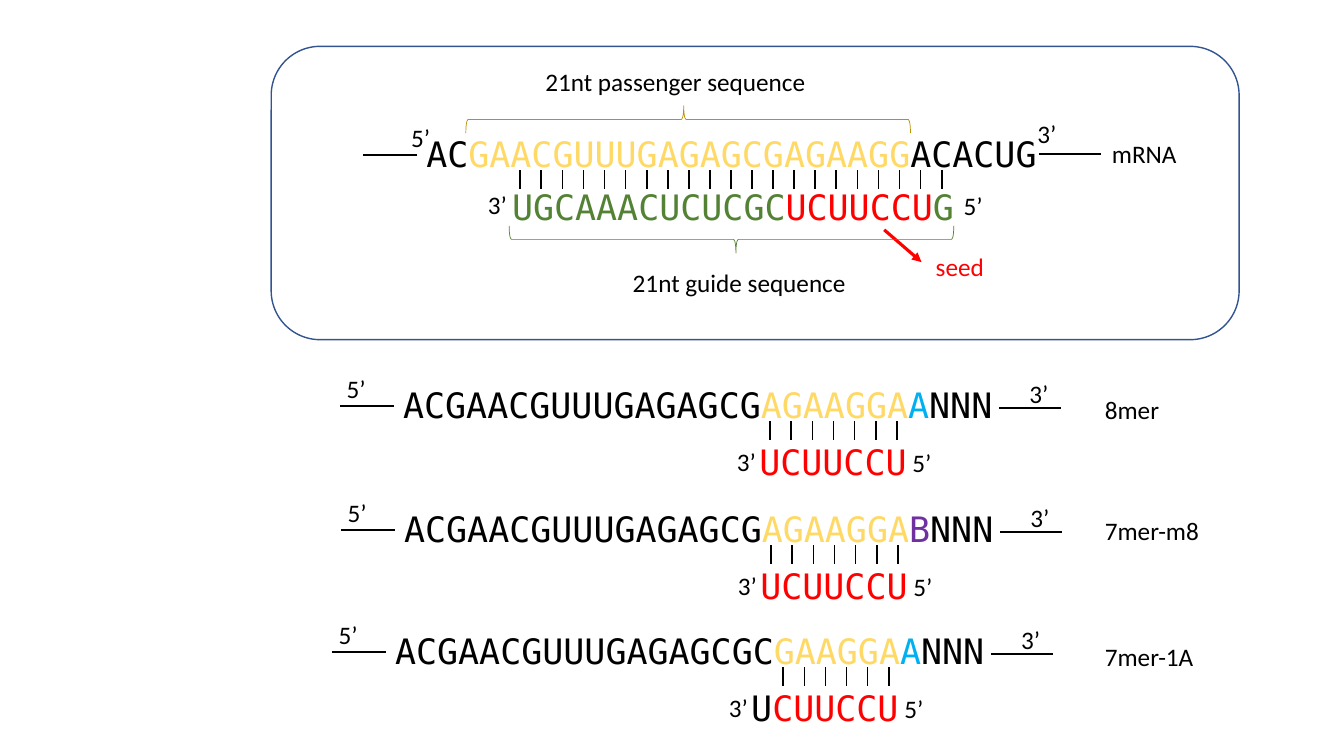
import pptx
import pptx.dml.color
import pptx.enum.shapes
import pptx.enum.text
import pptx.oxml
import pptx.oxml.ns
import pptx.util

Inches = pptx.util.Inches
color = pptx.dml.color.RGBColor.from_string
Shape = pptx.enum.shapes.MSO_SHAPE
Align = pptx.enum.text.PP_ALIGN

BLACK, RED, GREEN = "000000", "FF0000", "548235"
YELLOW, BLUE, PURPLE = "FFD966", "00B0F0", "7030A0"
MONO = ("DejaVu Sans Mono", 25, 0.52)
LABEL = ("Calibri", 18, 0.4)
BASE_STEP = 0.209

deck = pptx.Presentation()
deck.slide_width = Inches(13.33)
deck.slide_height = Inches(7.5)
page = deck.slides.add_slide(deck.slide_layouts[6])


def add_text(left, top, width, parts, style=LABEL, align=Align.LEFT):
    font_name, size, height = style
    box = page.shapes.add_textbox(Inches(left), Inches(top), Inches(width), Inches(height))
    frame = box.text_frame
    frame.word_wrap = True
    frame.auto_size = pptx.enum.text.MSO_AUTO_SIZE.SHAPE_TO_FIT_TEXT
    para = frame.paragraphs[0]
    para.alignment = align
    for wording, hue in parts:
        span = para.add_run()
        span.text = wording
        span.font.name = font_name
        span.font.size = pptx.util.Pt(size)
        span.font.color.rgb = color(hue)


def add_line(x1, y1, x2, y2, weight, hue=BLACK):
    line = page.shapes.add_connector(
        pptx.enum.shapes.MSO_CONNECTOR.STRAIGHT,
        Inches(x1), Inches(y1), Inches(x2), Inches(y2))
    line.line.color.rgb = color(hue)
    line.line.width = pptx.util.Pt(weight)
    line.element.spPr.append(pptx.oxml.parse_xml(
        f"<a:effectLst {pptx.oxml.ns.nsdecls('a')}/>"))
    return line


sites = [
    (0, 0, "8mer", 3.86,
     [("ACGAACGUUUGAGAGCG", BLACK), ("AGAAGGA", YELLOW), ("A", BLUE), ("NNN", BLACK)],
     [("UCUUCCU", RED)], range(7)),
    (0.01, 1.23, "7mer-m8", 5.06,
     [("ACGAACGUUUGAGAGCG", BLACK), ("AGAAGGA", YELLOW), ("B", PURPLE), ("NNN", BLACK)],
     [("UCUUCCU", RED)], range(7)),
    (-0.08, 2.44, "7mer-1A", 6.31,
     [("ACGAACGUUUGAGAGCGC", BLACK), ("GAAGGA", YELLOW), ("A", BLUE), ("NNN", BLACK)],
     [("U", BLACK), ("CUUCCU", RED)], range(1, 7)),
]
for dx, dy, site_name, name_top, target, seed, paired in sites:
    add_text(3.9 + dx, 3.76 + dy, 7.33, target, MONO)
    add_text(4.44 + dx, 4.32 + dy, 4.65, seed, MONO, Align.RIGHT)
    add_line(3.37 + dx, 4.03 + dy, 3.91 + dx, 4.03 + dy, 1.75)
    add_line(9.91 + dx, 4.05 + dy, 10.52 + dx, 4.05 + dy, 1.75)
    for left, top, end in [(3.34, 3.65, "5’"), (7.21, 4.38, "3’"),
                           (10.11, 3.7, "3’"), (8.95, 4.39, "5’")]:
        add_text(left + dx, top + dy, 1.11, [(end, BLACK)])
    for base in paired:
        x = 7.64 + dx + base * BASE_STEP
        add_line(x, 4.18 + dy, x, 4.37 + dy, 1.25)
    add_text(10.86, name_top, 1.2, [(site_name, BLACK)])

add_text(4.13, 1.27, 7.33,
         [("AC", BLACK), ("GAACGUUUGAGAGCGAGAAGG", YELLOW), ("ACACUG", BLACK)], MONO)
add_text(4.98, 1.79, 4.65,
         [("UGCAAACUCUCGC", GREEN), ("UCUUCCU", RED), ("G", GREEN)], MONO)
add_line(3.6, 1.54, 4.14, 1.54, 1.75)
add_line(10.31, 1.53, 10.92, 1.53, 1.75)
for left, top, end in [(3.98, 1.16, "5’"), (4.74, 1.83, "3’"),
                       (10.19, 1.12, "3’"), (9.46, 1.84, "5’")]:
    add_text(left, top, 1.11, [(end, BLACK)])
for base in range(21):
    x = 5.16 + base * BASE_STEP
    add_line(x, 1.69, x, 1.88, 1.25)

add_text(4.94, 2.6, 4.84, [("21nt guide sequence ", BLACK)], align=Align.CENTER)
add_text(5.31, 0.61, 4.84, [("21nt passenger sequence", BLACK)])
add_text(7.1, 2.44, 4.84, [("seed", RED)], align=Align.CENTER)
add_text(10.93, 1.32, 2.3, [("mRNA", BLACK)])

seed_arrow = add_line(8.77, 2.28, 9.14, 2.6, 2.25, RED)
seed_arrow.line._get_or_add_ln().append(pptx.oxml.parse_xml(
    f"<a:tailEnd {pptx.oxml.ns.nsdecls('a')} type='triangle'/>"))

outlines = [
    (Shape.LEFT_BRACE, 7.12, 0.17, 0.27, 4.41, 270, GREEN, 0.5),
    (Shape.LEFT_BRACE, 6.69, -1.02, 0.27, 4.41, 90, "BF9000", 0.5),
    (Shape.ROUNDED_RECTANGLE, 2.69, 0.46, 9.6, 2.91, 0, "325491", 1),
]
for kind, left, top, width, height, angle, hue, weight in outlines:
    outline = page.shapes.add_shape(
        kind, Inches(left), Inches(top), Inches(width), Inches(height))
    outline.rotation = angle
    outline.shadow.inherit = False
    outline.fill.background()
    outline.line.color.rgb = color(hue)
    outline.line.width = pptx.util.Pt(weight)
    if kind == Shape.LEFT_BRACE:
        outline.adjustments[0] = 0.08
        outline.adjustments[1] = 0.51

deck.save("out.pptx")
